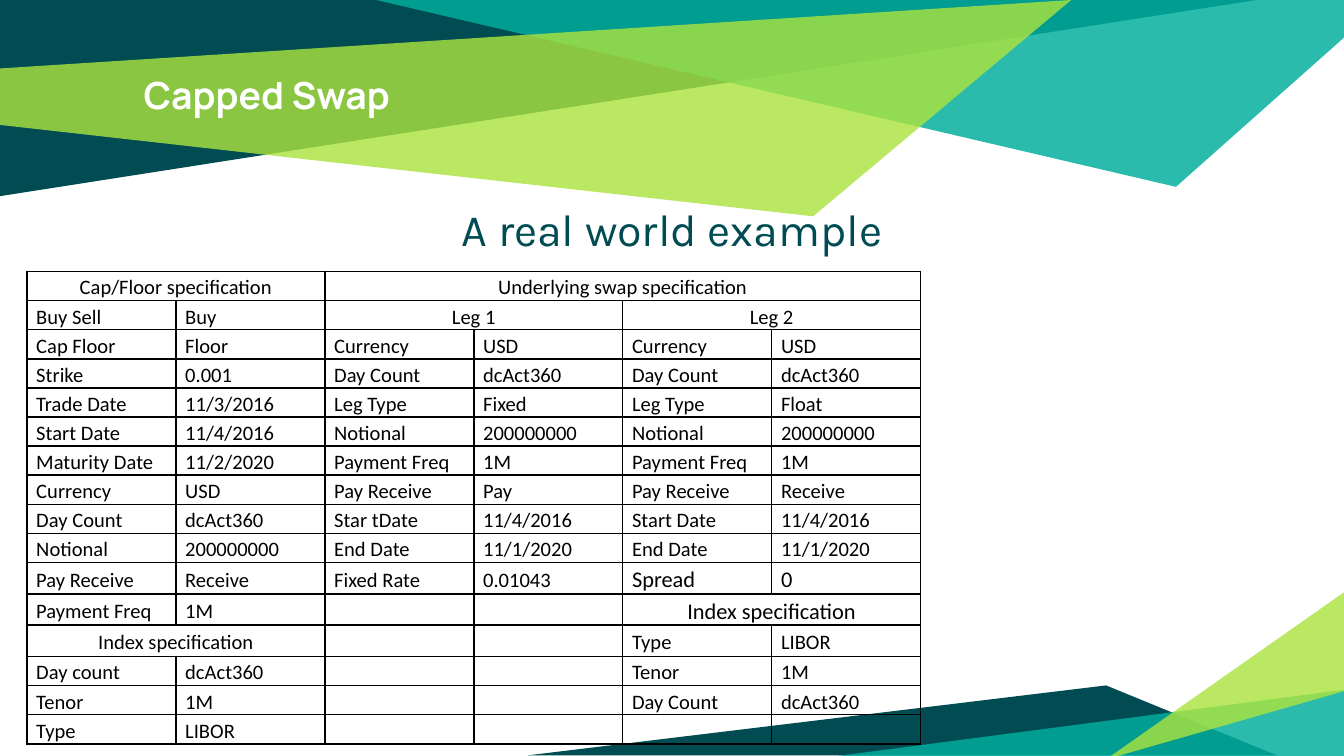
from lxml import etree
from pptx import Presentation, util as u
from pptx.dml.color import RGBColor
from pptx.enum import text
from pptx.oxml.ns import qn

WIDTH = 10
HEIGHT = WIDTH * 9 / 16
DARK, TEAL, LIME, WHITE, BLACK = "004C52", "00AE9D", "ABE33F", "FFFFFF", "000000"

RIBBONS = [
    (DARK, 100, [(0, 0), (0, 1.46), (9.35, 0)]),
    (TEAL, 83, [(2.8, 0), (8.75, 1.39), (10, 0.28), (10, 0)]),
    (LIME, 81, [(-0.01, 0.51), (0, 0.93), (6.05, 1.61), (7.97, 0)]),
    (DARK, 100, [(3.93, 5.62), (9.5, 5.62), (8.23, 5.1)]),
    (TEAL, 83, [(10.02, 5.13), (10.02, 5.65), (6.04, 5.65)]),
    (LIME, 81, [(10.01, 5.14), (10.01, 4.4), (8.23, 5.65)]),
]

ROWS = [
    ("Cap/Floor specification", None, "Underlying swap specification", None, None, None),
    ("Buy Sell", "Buy", "Leg 1", None, "Leg 2", None),
    ("Cap Floor", "Floor", "Currency", "USD", "Currency", "USD"),
    ("Strike", "0.001", "Day Count", "dcAct360", "Day Count", "dcAct360"),
    ("Trade Date", "11/3/2016", "Leg Type", "Fixed", "Leg Type", "Float"),
    ("Start Date", "11/4/2016", "Notional", "200000000", "Notional", "200000000"),
    ("Maturity Date", "11/2/2020", "Payment Freq", "1M", "Payment Freq", "1M"),
    ("Currency", "USD", "Pay Receive", "Pay", "Pay Receive", "Receive"),
    ("Day Count", "dcAct360", "Star tDate", "11/4/2016", "Start Date", "11/4/2016"),
    ("Notional", "200000000", "End Date", "11/1/2020", "End Date", "11/1/2020"),
    ("Pay Receive", "Receive", "Fixed Rate", "0.01043", "Spread", "0"),
    ("Payment Freq", "1M", "", "", "Index specification", None),
    ("Index specification", None, "", "", "Type", "LIBOR"),
    ("Day count", "dcAct360", "", "", "Tenor", "1M"),
    ("Tenor", "1M", "", "", "Day Count", "dcAct360"),
    ("Type", "LIBOR", "", "", "", ""),
]
LARGE_CELLS = {(10, 4), (10, 5), (11, 4)}
TALL_ROWS = {10, 11, 12}
TABLE_W = 6.65
ROW_PT, TALL_PT = 15.6, 16.8


def color(value):
    return RGBColor.from_string(value)


def style(p, name, size, value, bold=False):
    p.font.name, p.font.size, p.font.bold = name, u.Pt(size), bold
    p.font.color.rgb = color(value)


def add_ribbon(s, fill, alpha, points):
    start, *rest = [(u.Inches(x), u.Inches(y)) for x, y in points]
    builder = s.shapes.build_freeform(*start)
    builder.add_line_segments(rest, close=True)
    sp = builder.convert_to_shape()
    sp.shadow.inherit = False
    sp.line.fill.background()
    sp.fill.solid()
    sp.fill.fore_color.rgb = color(fill)
    if alpha < 100:
        rgb = sp.fill._xPr.find(".//" + qn("a:srgbClr"))
        etree.SubElement(rgb, qn("a:alpha"), val=str(alpha * 1000))


def add_text(s, box, words, *font):
    tf = s.shapes.add_textbox(*map(u.Inches, box)).text_frame
    tf.word_wrap = True
    tf.margin_left = tf.margin_right = tf.margin_top = tf.margin_bottom = u.Inches(0.1)
    p = tf.paragraphs[0]
    p.text = words
    style(p, *font)
    return p


def add_borders(cell):
    tc_pr = cell._tc.get_or_add_tcPr()
    for side in ("lnL", "lnR", "lnT", "lnB"):
        ln = etree.SubElement(tc_pr, qn("a:" + side), w=str(u.Pt(1)))
        fill = etree.SubElement(ln, qn("a:solidFill"))
        etree.SubElement(fill, qn("a:srgbClr"), val=BLACK)


def add_terms(s):
    n_cols = len(ROWS[0])
    heights = [u.Pt(TALL_PT if i in TALL_ROWS else ROW_PT) for i in range(len(ROWS))]
    frame = s.shapes.add_table(len(ROWS), n_cols, u.Inches(0.2), u.Inches(2.02),
                               u.Inches(TABLE_W), sum(heights))
    table = frame.table
    table.first_row = table.horz_banding = False
    for i, row in enumerate(ROWS):
        table.rows[i].height = heights[i]
        for j, words in enumerate(row):
            cell = table.cell(i, j)
            add_borders(cell)
            cell.fill.background()
            cell.margin_left = cell.margin_right = u.Inches(0.07)
            cell.margin_top = cell.margin_bottom = 0
            cell.vertical_anchor = text.MSO_ANCHOR.MIDDLE
            size = 12 if (i, j) in LARGE_CELLS else 11
            p = cell.text_frame.paragraphs[0]
            if words:
                p.text = words
            p.line_spacing = 1.15
            style(p, "Calibri", size, BLACK)
            etree.SubElement(p._p, qn("a:endParaRPr"), sz=str(size * 100))
            end = j + 1
            while end < n_cols and row[end] is None:
                end += 1
            if words and end > j + 1:
                p.alignment = text.PP_ALIGN.CENTER
                cell.merge(table.cell(i, end - 1))


prs = Presentation()
prs.slide_width, prs.slide_height = u.Inches(WIDTH), u.Inches(HEIGHT)
s = prs.slides.add_slide(prs.slide_layouts[6])
for ribbon in RIBBONS:
    add_ribbon(s, *ribbon)
add_text(s, (0.97, 0.44, 8.06, 0.64), "Capped Swap", "Manrope", 20, WHITE, True)
p = add_text(s, (1.06, 1.4, 7.88, 3.86), "A real world example", "Karla", 24, DARK)
p.alignment = text.PP_ALIGN.CENTER
add_terms(s)
prs.save("out.pptx")
